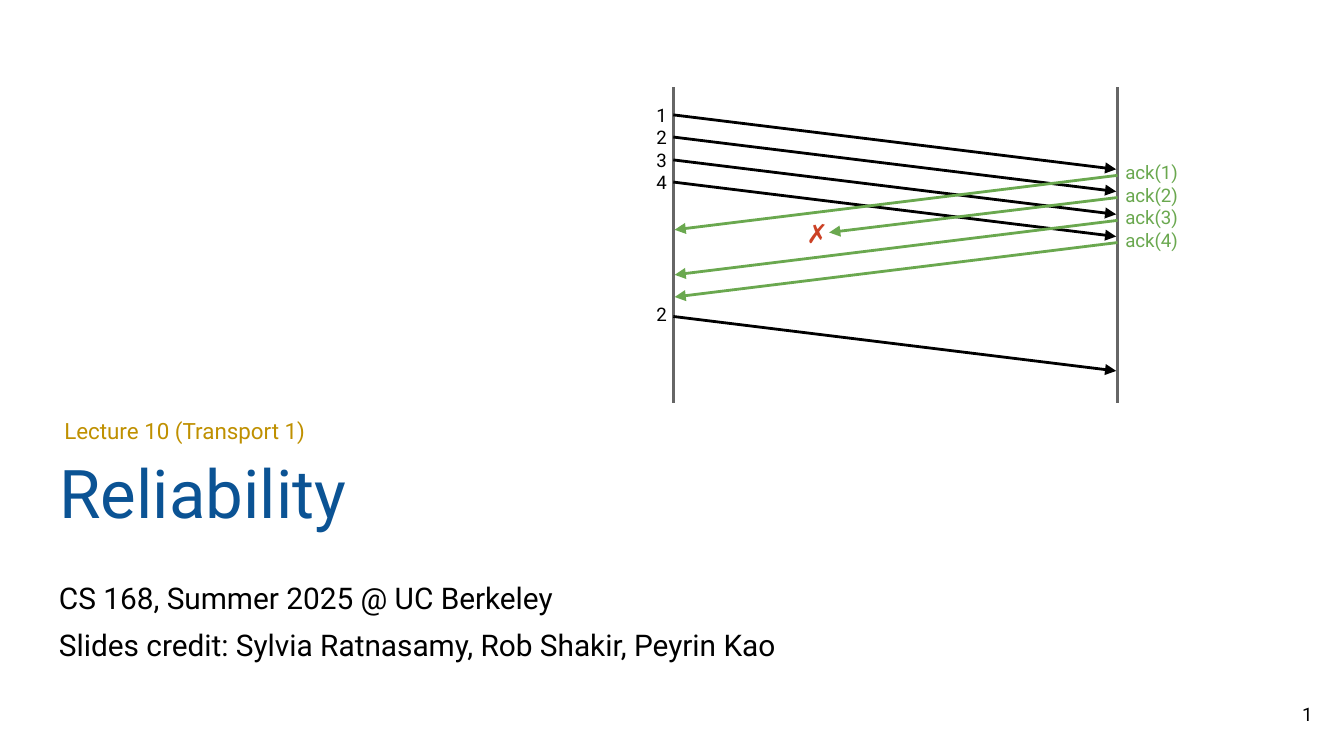
"""Build the title slide of the reliability lecture with its packet timing diagram."""
import pptx
import pptx.dml.color
import pptx.enum.shapes
import pptx.enum.text
import pptx.oxml
import pptx.oxml.ns
import pptx.util

ALIGN = pptx.enum.text.PP_ALIGN
ANCHOR = pptx.enum.text.MSO_ANCHOR
COLORS = {
    "white": "FFFFFF",
    "black": "000000",
    "title": "0B5394",
    "lecture": "BF9000",
    "timeline": "666666",
    "ack": "6AA84F",
    "lost": "CC4125",
}


class SlideBuilder:
    """Hold the style and the current slide."""

    font = "Roboto"
    scale = 4572
    line_width = 1.5

    def __init__(self, presentation, width, height):
        presentation.slide_width, presentation.slide_height = self.emu(width, height)
        self.slide = presentation.slides.add_slide(presentation.slide_layouts[6])
        background = self.slide.background.fill
        background.solid()
        background.fore_color.rgb = self.color("white")

    def color(self, name):
        return pptx.dml.color.RGBColor.from_string(COLORS[name])

    def emu(self, *lengths):
        return [pptx.util.Emu(length * self.scale) for length in lengths]

    def text(self, box, lines, size, color="black", align=ALIGN.LEFT,
             anchor=ANCHOR.TOP, inset=20, gap=0, bold=False):
        shape = self.slide.shapes.add_textbox(*self.emu(*box))
        frame = shape.text_frame
        frame.word_wrap = True
        frame.vertical_anchor = anchor
        margin = self.emu(inset)[0]
        frame.margin_left = frame.margin_right = margin
        frame.margin_top = frame.margin_bottom = margin
        for index, line in enumerate(lines):
            paragraph = frame.add_paragraph() if index else frame.paragraphs[0]
            paragraph.alignment = align
            if index:
                paragraph.space_before = pptx.util.Pt(gap)
            run = paragraph.add_run()
            run.text = line
            run.font.name = self.font
            run.font.size = pptx.util.Pt(size)
            run.font.bold = bold
            run.font.color.rgb = self.color(color)

    def line(self, start, end, color, arrow=False):
        connector = self.slide.shapes.add_connector(
            pptx.enum.shapes.MSO_CONNECTOR.STRAIGHT, *self.emu(*start, *end))
        connector.line.width = pptx.util.Pt(self.line_width)
        connector.line.color.rgb = self.color(color)
        namespace = pptx.oxml.ns.nsdecls("a")
        if arrow:
            connector.line._get_or_add_ln().append(
                pptx.oxml.parse_xml(f'<a:tailEnd {namespace} type="triangle"/>'))
        connector._element.spPr.append(
            pptx.oxml.parse_xml(f"<a:effectLst {namespace}/>"))


def draw_diagram(builder):
    sender, receiver = 1002, 1663
    for x in (sender, receiver):
        builder.line((x, 130), (x, 600), "timeline")

    offsets = [round(index * 100 / 3) for index in range(4)]
    packet_starts = [171 + offset for offset in offsets]
    resend_start = 471
    for y in packet_starts + [resend_start]:
        builder.line((sender, y), (receiver - 2, y + 81), "black", arrow=True)
    for number, offset in enumerate(offsets, 1):
        y = 261 + offset
        end = (1234, y + 52) if number == 2 else (sender + 2, y + 81)
        builder.line((receiver, y), end, "ack", arrow=True)

    numbers = range(1, 5)
    builder.text((954, 134, 58, 176), [str(number) for number in numbers], 10,
                 align=ALIGN.RIGHT)
    builder.text((1655, 220, 146, 176), [f"ack({number})" for number in numbers],
                 10, "ack")
    builder.text((1194, 318, 44, 60), ["✗"], 14, "lost", ALIGN.RIGHT, inset=6, bold=True)
    builder.text((954, 434, 58, 74), ["2"], 10, align=ALIGN.RIGHT)


def main():
    presentation = pptx.Presentation()
    builder = SlideBuilder(presentation, 2000, 1125)
    builder.text((1853, 1020, 120, 86), ["1"], 10, align=ALIGN.RIGHT,
                 anchor=ANCHOR.MIDDLE)
    credits = [
        "CS 168, Summer 2025 @ UC Berkeley",
        "Slides credit: Sylvia Ratnasamy, Rob Shakir, Peyrin Kao",
    ]
    builder.text((68, 843, 1864, 144), credits, 16, gap=6)
    builder.text((69, 363, 1904, 448), ["Reliability"], 36, "title", anchor=ANCHOR.BOTTOM)
    builder.text((76, 600, 604, 62), ["Lecture 10 (Transport 1)"], 12, "lecture")
    draw_diagram(builder)
    presentation.save("out.pptx")


if __name__ == "__main__":
    main()
